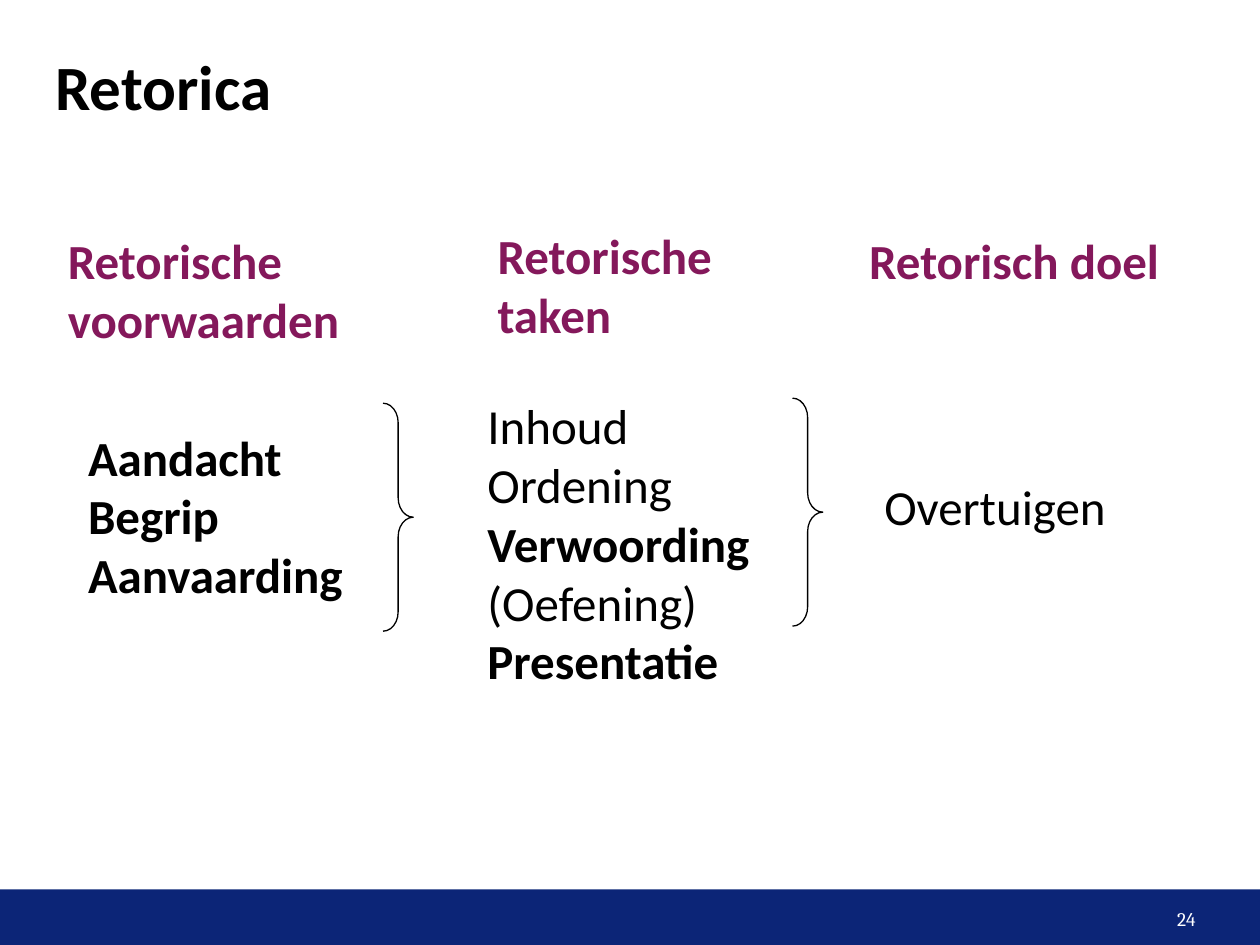
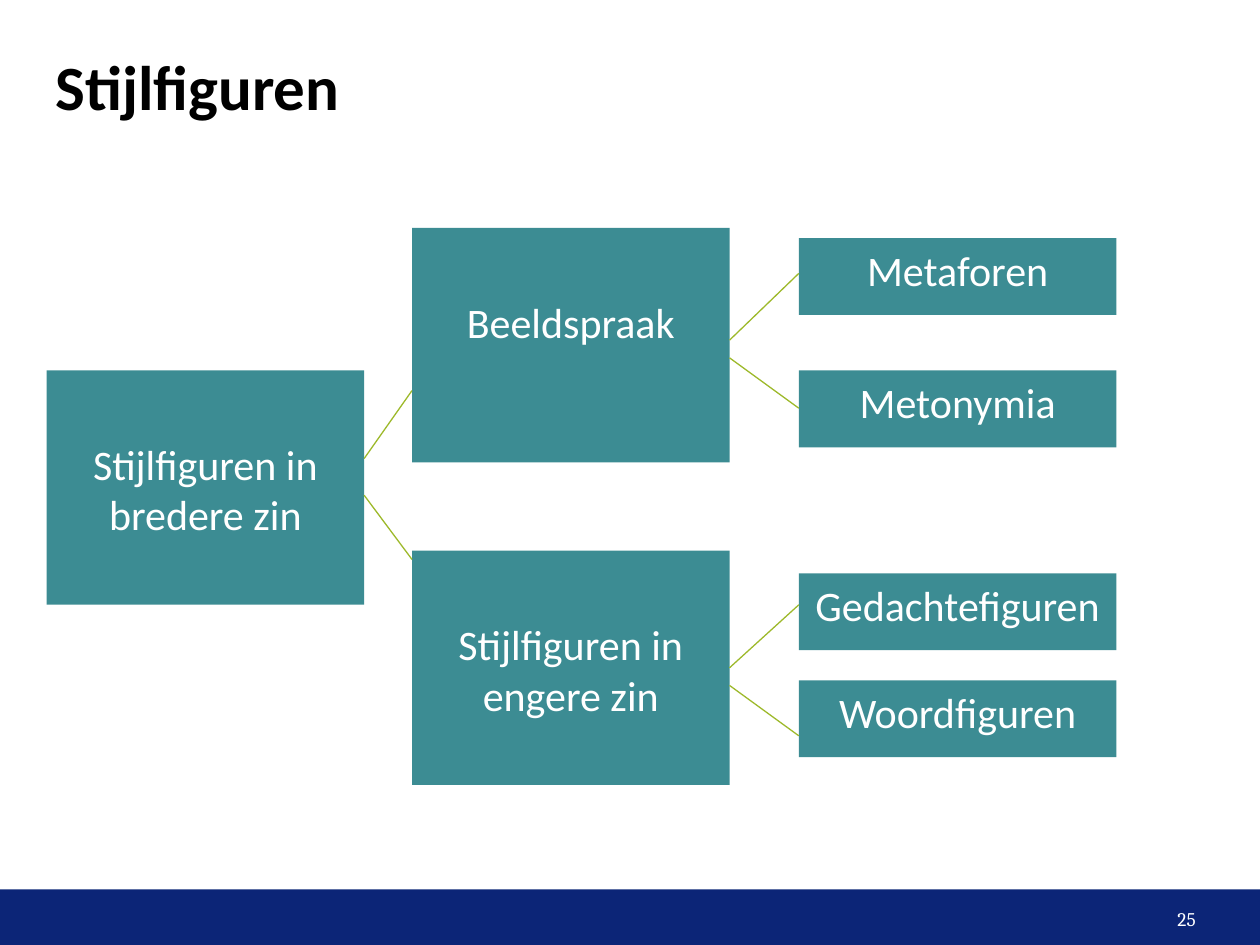
from dataclasses import dataclass

from lxml import etree
from pptx import Presentation
from pptx.dml.color import RGBColor
from pptx.enum.shapes import MSO_CONNECTOR, MSO_SHAPE
from pptx.enum.text import MSO_ANCHOR, PP_ALIGN
from pptx.oxml.ns import qn
from pptx.presentation import Presentation as Deck
from pptx.shapes.autoshape import Shape
from pptx.slide import Slide
from pptx.util import Inches, Pt

RECT, BRACE = MSO_SHAPE.RECTANGLE, MSO_SHAPE.RIGHT_BRACE
LINE = MSO_CONNECTOR.STRAIGHT
TOP, MIDDLE = MSO_ANCHOR.TOP, MSO_ANCHOR.MIDDLE
LEFT, CENTER, RIGHT = PP_ALIGN.LEFT, PP_ALIGN.CENTER, PP_ALIGN.RIGHT


@dataclass(frozen=True)
class Theme:
    body: str = "Calibri"
    serif: str = "Cambria"
    black: str = "000000"
    white: str = "FFFFFF"
    navy: str = "0C2577"
    plum: str = "84185B"
    teal: str = "3C8C93"
    green: str = "9DB92A"
    title: int = 36
    text: int = 28
    node: int = 24
    page: int = 11
    line: float = 0.75


THEME = Theme()


@dataclass(frozen=True)
class Area:
    left: float
    top: float
    width: float
    height: float

    def inches(self) -> tuple:
        return tuple(map(Inches, (self.left, self.top, self.width, self.height)))


@dataclass(frozen=True)
class Style:
    size: int
    color: str
    font: str = THEME.body
    align: PP_ALIGN = LEFT
    anchor: MSO_ANCHOR = TOP
    inset: tuple[float, float] = (0.1, 0.05)


@dataclass(frozen=True)
class Row:
    text: str
    bold: bool = False


@dataclass(frozen=True)
class Block:
    area: Area
    rows: tuple[Row, ...]
    style: Style


@dataclass(frozen=True)
class Node:
    text: str
    left: float
    top: float
    height: float
    pad: float


@dataclass(frozen=True)
class Link:
    left: float
    start: float
    right: float
    end: float


TITLE = Style(THEME.title, THEME.black, anchor=MIDDLE, inset=(0, 0))
PAGE = Style(THEME.page, THEME.white, THEME.serif, RIGHT, MIDDLE, (0.07, 0.04))
HEAD = Style(THEME.text, THEME.plum)
BODY = Style(THEME.text, THEME.black)
LABEL = Style(THEME.node, THEME.white, align=CENTER)

BLOCKS = (
    Block(Area(0.44, 1.78, 2.38, 1.04),
          (Row("Retorische", True), Row("voorwaarden", True)), HEAD),
    Block(Area(3.85, 1.74, 2.31, 1.04),
          (Row("Retorische", True), Row("taken", True)), HEAD),
    Block(Area(6.8, 1.78, 2.53, 0.57), (Row("Retorisch doel", True),), HEAD),
    Block(Area(0.6, 3.34, 2.25, 1.53),
          (Row("Aandacht", True), Row("Begrip", True), Row("Aanvaarding", True)), BODY),
    Block(Area(3.77, 3.09, 2.3, 2.45),
          (Row("Inhoud"), Row("Ordening"), Row("Verwoording", True),
           Row("(Oefening)"), Row("Presentatie", True)), BODY),
    Block(Area(6.92, 3.73, 2.28, 0.57), (Row("Overtuigen"),), BODY),
)
BRACES = (Area(3.04, 3.2, 0.24, 1.81), Area(6.29, 3.16, 0.24, 1.81))

WIDTH = 2.52
ROOT, MID, LEAF = 0.37, 3.27, 6.34
TALL, LOW = (1.86, 0.54), (0.61, 0.05)
NODES = (
    Node("Stijlfiguren in bredere zin", ROOT, 2.94, *TALL),
    Node("Beeldspraak", MID, 1.81, *TALL),
    Node("Stijlfiguren in engere zin", MID, 4.37, *TALL),
    Node("Metaforen", LEAF, 1.89, *LOW),
    Node("Metonymia", LEAF, 2.94, *LOW),
    Node("Gedachtefiguren", LEAF, 4.55, *LOW),
    Node("Woordfiguren", LEAF, 5.4, *LOW),
)
LINKS = (
    Link(ROOT + WIDTH, 3.64, MID, 3.1),
    Link(ROOT + WIDTH, 3.93, MID, 4.44),
    Link(MID + WIDTH, 2.7, LEAF, 2.17),
    Link(MID + WIDTH, 2.84, LEAF, 3.24),
    Link(MID + WIDTH, 5.3, LEAF, 4.8),
    Link(MID + WIDTH, 5.44, LEAF, 5.84),
)


def rgb(color: str) -> RGBColor:
    return RGBColor.from_string(color)


def write(shape: Shape, rows: tuple[Row, ...], style: Style) -> None:
    frame = shape.text_frame
    frame.word_wrap = True
    frame.vertical_anchor = style.anchor
    side, edge = map(Inches, style.inset)
    frame.margin_left = frame.margin_right = side
    frame.margin_top = frame.margin_bottom = edge
    for spot, row in enumerate(rows):
        para = frame.add_paragraph() if spot else frame.paragraphs[0]
        para.alignment = style.align
        run = para.add_run()
        run.text = row.text
        font = run.font
        font.name, font.size, font.bold = style.font, Pt(style.size), row.bold
        font.color.rgb = rgb(style.color)


def add_text(slide: Slide, block: Block) -> None:
    write(slide.shapes.add_textbox(*block.area.inches()), block.rows, block.style)


def add_rect(slide: Slide, area: Area, color: str) -> Shape:
    shape = slide.shapes.add_shape(RECT, *area.inches())
    shape.shadow.inherit = False
    shape.fill.solid()
    shape.fill.fore_color.rgb = rgb(color)
    shape.line.fill.background()
    return shape


def add_brace(slide: Slide, area: Area) -> None:
    shape = slide.shapes.add_shape(BRACE, *area.inches())
    shape.shadow.inherit = False
    shape.adjustments[0] = 0.64
    shape.fill.background()
    shape.line.color.rgb = rgb(THEME.black)
    shape.line.width = Pt(THEME.line)


def add_node(slide: Slide, node: Node) -> None:
    shape = add_rect(slide, Area(node.left, node.top, WIDTH, node.height), THEME.teal)
    write(shape, (Row(node.text),), LABEL)
    shape.text_frame.margin_top = Inches(node.pad)


def add_link(slide: Slide, link: Link) -> None:
    ends = map(Inches, (link.left, link.start, link.right, link.end))
    line = slide.shapes.add_connector(LINE, *ends)
    line.line.color.rgb = rgb(THEME.green)
    line.line.width = Pt(THEME.line)
    etree.SubElement(line._element.spPr, qn("a:effectLst"))


def add_slide(deck: Deck, title: str, page: int) -> Slide:
    """Add a blank slide with the shared band, page number and title."""
    slide = deck.slides.add_slide(deck.slide_layouts[6])
    add_rect(slide, Area(0, 7.06, 10, 0.44), THEME.navy)
    add_text(slide, Block(Area(7.31, 7.06, 2.25, 0.46), (Row(str(page)),), PAGE))
    add_text(slide, Block(Area(0.44, 0.44, 9.11, 0.47), (Row(title, True),), TITLE))
    return slide


def main() -> None:
    deck = Presentation()
    deck.slide_width, deck.slide_height = Inches(10), Inches(7.5)

    slide = add_slide(deck, "Retorica", 24)
    for block in BLOCKS:
        add_text(slide, block)
    for area in BRACES:
        add_brace(slide, area)

    slide = add_slide(deck, "Stijlfiguren", 25)
    for node in NODES:
        add_node(slide, node)
    for link in LINKS:
        add_link(slide, link)

    deck.save("out.pptx")


if __name__ == "__main__":
    main()
